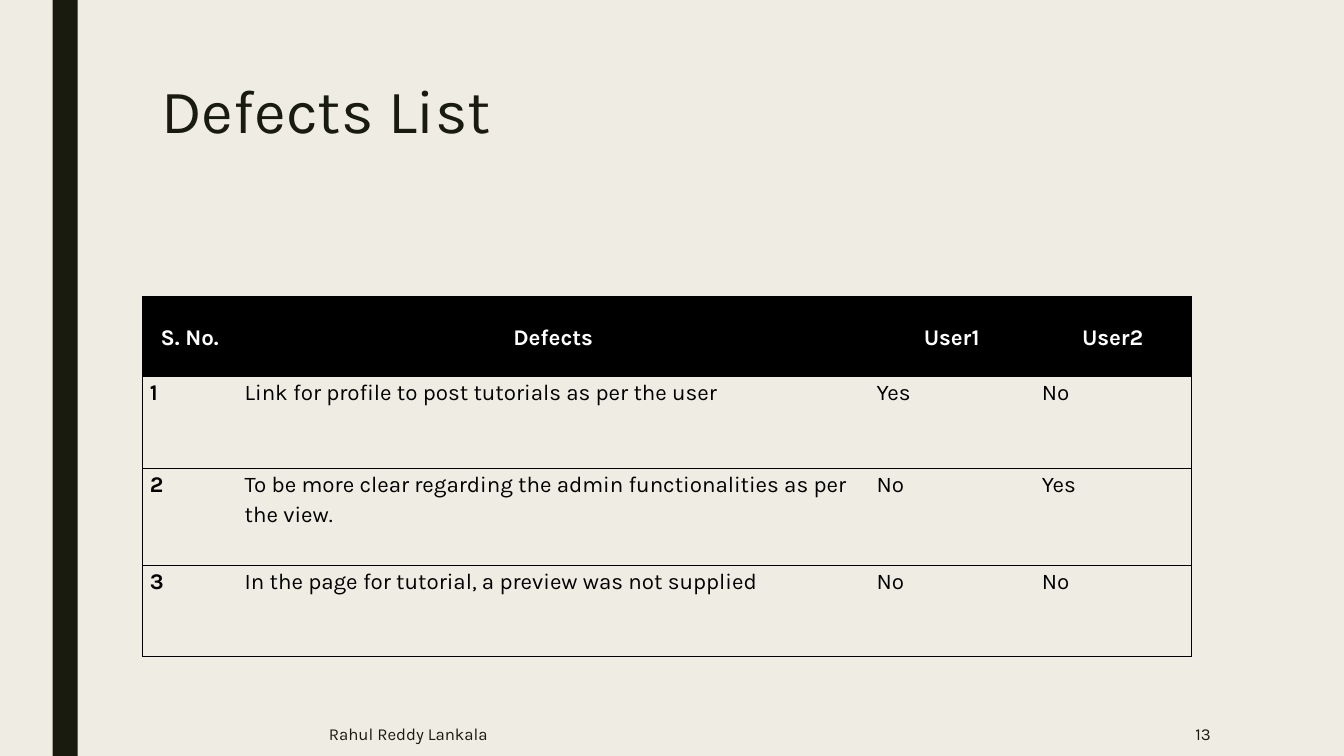
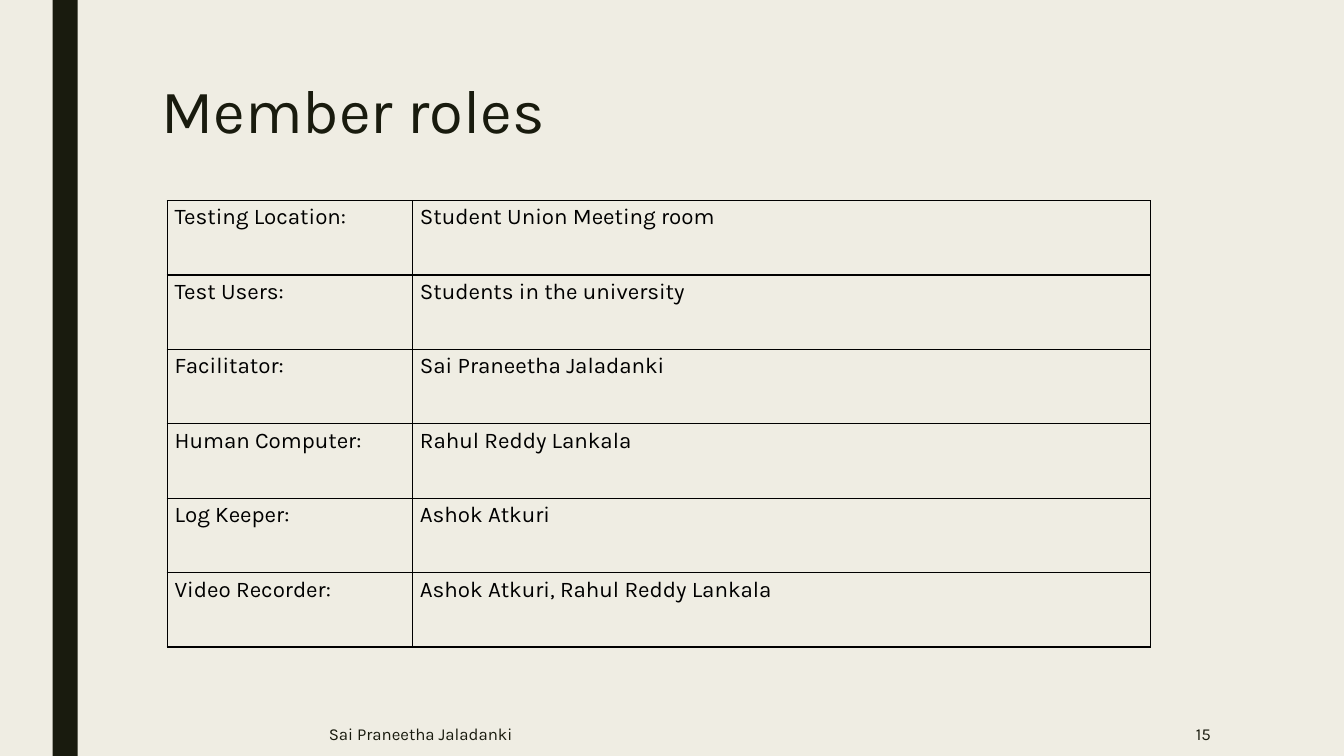
from dataclasses import dataclass

from lxml import etree
from pptx import Presentation
from pptx.dml.color import RGBColor
from pptx.enum.shapes import MSO_SHAPE
from pptx.enum.text import MSO_ANCHOR, MSO_AUTO_SIZE, PP_ALIGN
from pptx.oxml.ns import qn
from pptx.presentation import Presentation as Deck
from pptx.slide import Slide
from pptx.table import _Cell as Cell
from pptx.text.text import TextFrame
from pptx.util import Pt

# Shared style
CREAM = RGBColor(0xEF, 0xED, 0xE3)
OLIVE = RGBColor(0x19, 0x1B, 0x0E)
BLACK = RGBColor(0x00, 0x00, 0x00)
WHITE = RGBColor(0xFF, 0xFF, 0xFF)
FONT = "Karla"
RECTANGLE = MSO_SHAPE.RECTANGLE
TOP, MIDDLE = MSO_ANCHOR.TOP, MSO_ANCHOR.MIDDLE
LEFT, CENTER, RIGHT, JUSTIFY = (
    PP_ALIGN.LEFT, PP_ALIGN.CENTER, PP_ALIGN.RIGHT, PP_ALIGN.JUSTIFY)
NO_AUTOFIT = MSO_AUTO_SIZE.NONE
TITLE_ONLY = 5
SLIDE_WIDTH, SLIDE_HEIGHT = 960, 540
FOOTER_TOP, FOOTER_HEIGHT = 508.3, 31.7
CELL_MARGIN = 5.4


@dataclass
class Grid:
    """A table; lengths in points."""
    left: float
    top: float
    columns: list[float]
    heights: list[float]
    rows: list[list[str]]
    border: float
    has_header: bool = False
    inner_verticals: bool = True
    label_bold: bool = False
    label_align: PP_ALIGN = LEFT


@dataclass
class Page:
    title: str
    presenter: str
    number: int
    grid: Grid


PAGES = [
    Page("Defects List", "Rahul Reddy Lankala", 13, Grid(
        left=101.7, top=211.7,
        columns=[67.7, 451.4, 118, 112],
        heights=[57, 65.6, 69.3, 65.4],
        rows=[
            ["S. No.", "Defects", "User1", "User2"],
            ["1", "Link for profile to post tutorials as per the user", "Yes", "No"],
            ["2", "To be more clear regarding the admin functionalities as per "
                  "the view.", "No", "Yes"],
            ["3", "In the page for tutorial, a preview was not supplied", "No", "No"],
        ],
        border=0.5, has_header=True, inner_verticals=False, label_bold=True)),
    Page("Member roles", "Sai Praneetha Jaladanki", 15, Grid(
        left=119.4, top=143.3,
        columns=[175.2, 527],
        heights=[53.15] * 6,
        rows=[
            ["Testing Location:", "Student Union Meeting room"],
            ["Test Users:", "Students in the university"],
            ["Facilitator:", "Sai Praneetha Jaladanki"],
            ["Human Computer:", "Rahul Reddy Lankala"],
            ["Log Keeper:", "Ashok Atkuri"],
            ["Video Recorder:", "Ashok Atkuri, Rahul Reddy Lankala"],
        ],
        border=1, label_align=JUSTIFY)),
]


def write(frame: TextFrame, text: str, size: float, color: RGBColor,
          align: PP_ALIGN = LEFT, bold: bool = False,
          line_spacing: float = 1.0) -> None:
    paragraph = frame.paragraphs[0]
    paragraph.alignment = align
    paragraph.line_spacing = line_spacing
    run = paragraph.add_run()
    run.text = text
    run.font.name = FONT
    run.font.size = Pt(size)
    run.font.bold = bold
    run.font.color.rgb = color


def add_band(slide: Slide) -> None:
    band = slide.shapes.add_shape(RECTANGLE, Pt(37.5), 0, Pt(18), Pt(SLIDE_HEIGHT))
    band.shadow.inherit = False
    band.fill.solid()
    band.fill.fore_color.rgb = OLIVE
    band.line.fill.background()


def add_title(slide: Slide, text: str) -> None:
    title = slide.shapes.title
    title.left, title.top, title.width, title.height = Pt(108), Pt(54), Pt(720), Pt(117)
    frame = title.text_frame
    frame.auto_size = NO_AUTOFIT
    frame.vertical_anchor = TOP
    write(frame, text, 44, OLIVE, line_spacing=0.89)


def add_footer(slide: Slide, left: float, width: float, text: str,
               align: PP_ALIGN) -> None:
    footer = slide.shapes.add_textbox(
        Pt(left), Pt(FOOTER_TOP), Pt(width), Pt(FOOTER_HEIGHT))
    frame = footer.text_frame
    frame.word_wrap = True
    frame.vertical_anchor = MIDDLE
    write(frame, text, 12, OLIVE, align)


def set_borders(cell: Cell, width: float, edges: str) -> None:
    """Draw the edges named by L, R, T and B; hide the others."""
    properties = cell._tc.get_or_add_tcPr()
    for position, edge in enumerate("LRTB"):
        line = etree.Element(qn(f"a:ln{edge}"), w=str(int(Pt(width))))
        if edge in edges:
            fill = etree.SubElement(line, qn("a:solidFill"))
            etree.SubElement(fill, qn("a:srgbClr"), val=str(BLACK))
        else:
            etree.SubElement(line, qn("a:noFill"))
        properties.insert(position, line)


def add_grid(slide: Slide, grid: Grid) -> None:
    table = slide.shapes.add_table(
        len(grid.rows), len(grid.columns), Pt(grid.left), Pt(grid.top),
        Pt(sum(grid.columns)), Pt(sum(grid.heights))).table
    table.first_row = grid.has_header
    table.horz_banding = False
    for column, width in zip(table.columns, grid.columns):
        column.width = Pt(width)
    for row, height in zip(table.rows, grid.heights):
        row.height = Pt(height)

    last_column = len(grid.columns) - 1
    for r, texts in enumerate(grid.rows):
        header = grid.has_header and r == 0
        for c, text in enumerate(texts):
            cell = table.cell(r, c)
            cell.margin_left = cell.margin_right = Pt(CELL_MARGIN)
            cell.margin_top = cell.margin_bottom = 0
            cell.vertical_anchor = MIDDLE if header else TOP
            if header:
                cell.fill.solid()
                cell.fill.fore_color.rgb = BLACK
            else:
                cell.fill.background()
            edges = "TB"
            if grid.inner_verticals or c == 0:
                edges += "L"
            if grid.inner_verticals or c == last_column:
                edges += "R"
            set_borders(cell, grid.border, edges)
            label_align = grid.label_align if c == 0 else LEFT
            write(cell.text_frame, text, 16, WHITE if header else BLACK,
                  align=CENTER if header else label_align,
                  bold=header or (grid.label_bold and c == 0),
                  line_spacing=1.15)
            cell.text_frame.paragraphs[0].space_after = Pt(10)


def add_page(deck: Deck, page: Page) -> None:
    slide = deck.slides.add_slide(deck.slide_layouts[TITLE_ONLY])
    add_band(slide)
    add_title(slide, page.title)
    add_grid(slide, page.grid)
    add_footer(slide, 227.8, 494.6, page.presenter, LEFT)
    add_footer(slide, 746, 126, str(page.number), RIGHT)


def main() -> None:
    deck = Presentation()
    deck.slide_width, deck.slide_height = Pt(SLIDE_WIDTH), Pt(SLIDE_HEIGHT)
    # Background shared through the master
    background = deck.slide_master.background.fill
    background.solid()
    background.fore_color.rgb = CREAM
    for page in PAGES:
        add_page(deck, page)
    deck.save("out.pptx")


if __name__ == "__main__":
    main()
